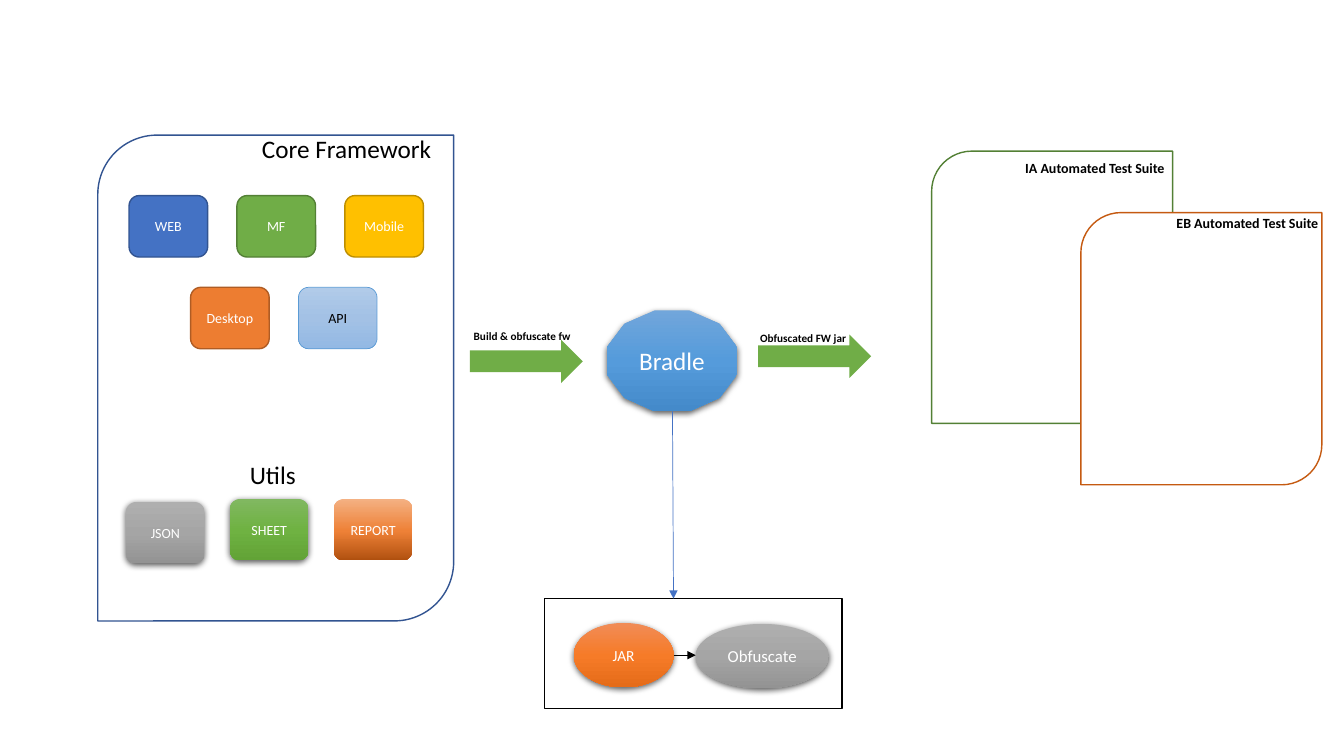
from collections import namedtuple

from pptx import Presentation
from pptx.dml.color import RGBColor
from pptx.enum.shapes import MSO_CONNECTOR as Connector, MSO_SHAPE as Preset
from pptx.enum.text import MSO_ANCHOR as Anchor, MSO_AUTO_SIZE as AutoSize, PP_ALIGN as Align
from pptx.oxml import parse_xml
from pptx.oxml.ns import nsdecls, qn
from pptx.util import Inches, Pt

Box = namedtuple("Box", "left top width height")

WHITE = RGBColor(0xFF, 0xFF, 0xFF)
BLACK = RGBColor(0x00, 0x00, 0x00)
BLUE = RGBColor(0x44, 0x72, 0xC4)
DARK_BLUE = RGBColor(0x32, 0x54, 0x91)
SKY = RGBColor(0x5B, 0x9B, 0xD5)
GREEN = RGBColor(0x70, 0xAD, 0x47)
DARK_GREEN = RGBColor(0x53, 0x80, 0x35)
GOLD = RGBColor(0xFF, 0xC0, 0x00)
DARK_GOLD = RGBColor(0xBD, 0x8E, 0x00)
ORANGE = RGBColor(0xED, 0x7D, 0x31)
DARK_ORANGE = RGBColor(0xAF, 0x5C, 0x24)
RUST = RGBColor(0xC5, 0x5A, 0x11)


def ramp(*codes, middle=50):
    """Return the three (position, colour) stops of a top-to-bottom gradient."""
    return list(zip((0, middle, 100), map(RGBColor.from_string, codes)))


PALE_RAMP = ramp("B1CBE9", "A3C1E5", "93B9E4")
GRAY_RAMP = ramp("AFAFAF", "A5A5A5", "939393")
GREEN_RAMP = ramp("81B861", "6FB242", "62A336")
REPORT_RAMP = ramp("F4B183", "EE8137", "B0500F", middle=52)
BLUE_RAMP = ramp("71A6DB", "559BDB", "448ACA")
ORANGE_RAMP = ramp("F18C57", "F67B28", "E56C19")


def inside(box, left, top, width, height):
    """Return a box offset from the top left corner of another one."""
    return Box(box.left + left, box.top + top, width, height)


def write(shape, text, size, color, bold=False, align=Align.LEFT):
    """Put one styled line of text in a shape."""
    para = shape.text_frame.paragraphs[0]
    para.text = text
    para.alignment = align
    para.font.name = "Calibri"
    para.font.size = Pt(size)
    para.font.bold = bold
    para.font.color.rgb = color


def paint_gradient(shape, stops):
    """Fill a shape with a vertical gradient."""
    shape.fill.background()
    marks = "".join(
        f'<a:gs pos="{position * 1000}"><a:srgbClr val="{color}"/></a:gs>'
        for position, color in stops
    )
    gradient = parse_xml(
        f'<a:gradFill {nsdecls("a")} rotWithShape="1"><a:gsLst>{marks}</a:gsLst>'
        '<a:lin ang="5400000" scaled="0"/></a:gradFill>'
    )
    properties = shape.element.spPr
    properties.replace(properties.find(qn("a:noFill")), gradient)


def cast_shadow(shape):
    """Give a shape a soft shadow below it."""
    shape.element.spPr.find(qn("a:effectLst")).append(parse_xml(
        f'<a:outerShdw {nsdecls("a")} blurRad="{Pt(4.5)}" dist="{Pt(1.5)}" dir="5400000" '
        'algn="ctr" rotWithShape="0"><a:srgbClr val="000000"><a:alpha val="63000"/>'
        '</a:srgbClr></a:outerShdw>'
    ))


def add_node(page, preset, box, fill, line=None, weight=1, text="", size=10,
             color=WHITE, shadow=False):
    """Draw a preset shape with a plain or gradient fill and a centred label."""
    shape = page.shapes.add_shape(preset, *map(Inches, box))
    shape.shadow.inherit = False
    if isinstance(fill, list):
        paint_gradient(shape, fill)
    else:
        shape.fill.solid()
        shape.fill.fore_color.rgb = fill
    if line is None:
        shape.line.fill.background()
    else:
        shape.line.color.rgb = line
        shape.line.width = Pt(weight)
    if shadow:
        cast_shadow(shape)
    if text:
        shape.text_frame.word_wrap = True
        shape.text_frame.vertical_anchor = Anchor.MIDDLE
        write(shape, text, size, color, align=Align.CENTER)


def add_label(page, box, text, size, bold=False):
    """Place a single-line text box."""
    label = page.shapes.add_textbox(*map(Inches, box))
    label.text_frame.word_wrap = False
    label.text_frame.auto_size = AutoSize.SHAPE_TO_FIT_TEXT
    write(label, text, size, BLACK, bold)


def add_link(page, start, end, color):
    """Draw a thin straight arrow between two points."""
    link = page.shapes.add_connector(Connector.STRAIGHT, *map(Inches, start + end))
    link.line.color.rgb = color
    link.line.width = Pt(0.5)
    properties = link.element.spPr
    properties.find(qn("a:ln")).append(parse_xml(f'<a:tailEnd {nsdecls("a")} type="triangle"/>'))
    properties.append(parse_xml(f'<a:effectLst {nsdecls("a")}/>'))


def draw_suite(page, box, line, title, title_offset):
    """Draw a test suite panel with its title."""
    add_node(page, Preset.ROUND_2_DIAG_RECTANGLE, box, WHITE, line)
    add_label(page, inside(box, *title_offset, 1.65, 0.27), title, 10, bold=True)


def draw_framework(page, box):
    """Draw the core framework panel with its modules and utilities."""
    add_node(page, Preset.ROUND_2_DIAG_RECTANGLE, box, WHITE, DARK_BLUE)
    add_label(page, inside(box, 1.53, -0.07, 1.9, 0.4), "Core Framework", 18)
    add_label(page, inside(box, 1.41, 3.17, 0.96, 0.4), "Utils", 18)
    module_rows = [
        (0.31, 0.6, [("WEB", BLUE, DARK_BLUE, 1, WHITE), ("MF", GREEN, DARK_GREEN, 1, WHITE),
                     ("Mobile", GOLD, DARK_GOLD, 1, WHITE)]),
        (0.92, 1.51, [("Desktop", ORANGE, DARK_ORANGE, 1, WHITE),
                      ("API", PALE_RAMP, SKY, 0.5, BLACK)]),
    ]
    for left, top, modules in module_rows:
        for column, (text, fill, line, weight, color) in enumerate(modules):
            spot = inside(box, left + column * 1.07, top, 0.78, 0.61)
            add_node(page, Preset.ROUNDED_RECTANGLE, spot, fill, line, weight, text, color=color)
    utilities = [("JSON", GRAY_RAMP, 3.64, True), ("SHEET", GREEN_RAMP, 3.61, True),
                 ("REPORT", REPORT_RAMP, 3.61, False)]
    for column, (text, fill, top, shadow) in enumerate(utilities):
        spot = inside(box, 0.28 + column * 1.03, top, 0.78, 0.61)
        add_node(page, Preset.ROUNDED_RECTANGLE, spot, fill, text=text, shadow=shadow)


def draw_step(page, box, caption, caption_offset):
    """Draw a block arrow with a one-line caption above it."""
    add_node(page, Preset.RIGHT_ARROW, box, GREEN)
    add_label(page, inside(box, *caption_offset, 1.25, 0.24), caption, 8, bold=True)


def draw_packaging(page, box):
    """Draw the frame that leads from the jar to its obfuscation."""
    add_node(page, Preset.RECTANGLE, box, WHITE, BLACK)
    add_node(page, Preset.OVAL, inside(box, 0.29, 0.24, 0.99, 0.64), ORANGE_RAMP,
             text="JAR", size=11, shadow=True)
    add_node(page, Preset.OVAL, inside(box, 1.5, 0.25, 1.32, 0.64), GRAY_RAMP,
             text="Obfuscate", size=12, shadow=True)
    middle = box.top + 0.56
    add_link(page, (box.left + 1.28, middle), (box.left + 1.5, middle), BLACK)


def main():
    """Build the build-pipeline slide and save it."""
    deck = Presentation()
    deck.slide_width, deck.slide_height = Inches(13.33), Inches(7.5)
    page = deck.slides.add_slide(deck.slide_layouts[6])
    builder = Box(6.02, 3.08, 1.29, 1)
    packaging = Box(5.4, 5.94, 2.95, 1.09)

    draw_suite(page, Box(9.24, 1.5, 2.39, 2.7), DARK_GREEN, "IA Automated Test Suite", (0.83, 0.03))
    draw_suite(page, Box(10.72, 2.11, 2.39, 2.7), RUST, "EB Automated Test Suite", (0.85, -0.03))
    draw_framework(page, Box(0.97, 1.34, 3.53, 4.82))
    draw_step(page, Box(4.66, 3.37, 1.12, 0.43), "Build & obfuscate fw", (-0.06, -0.15))
    add_node(page, Preset.DODECAGON, builder, BLUE_RAMP, text="Bradle", size=18, shadow=True)
    draw_step(page, Box(7.52, 3.32, 1.12, 0.43), "Obfuscated FW jar", (-0.08, -0.08))
    draw_packaging(page, packaging)
    add_link(page, (6.67, builder.top + builder.height), (6.68, packaging.top), BLUE)
    deck.save("out.pptx")


if __name__ == "__main__":
    main()
